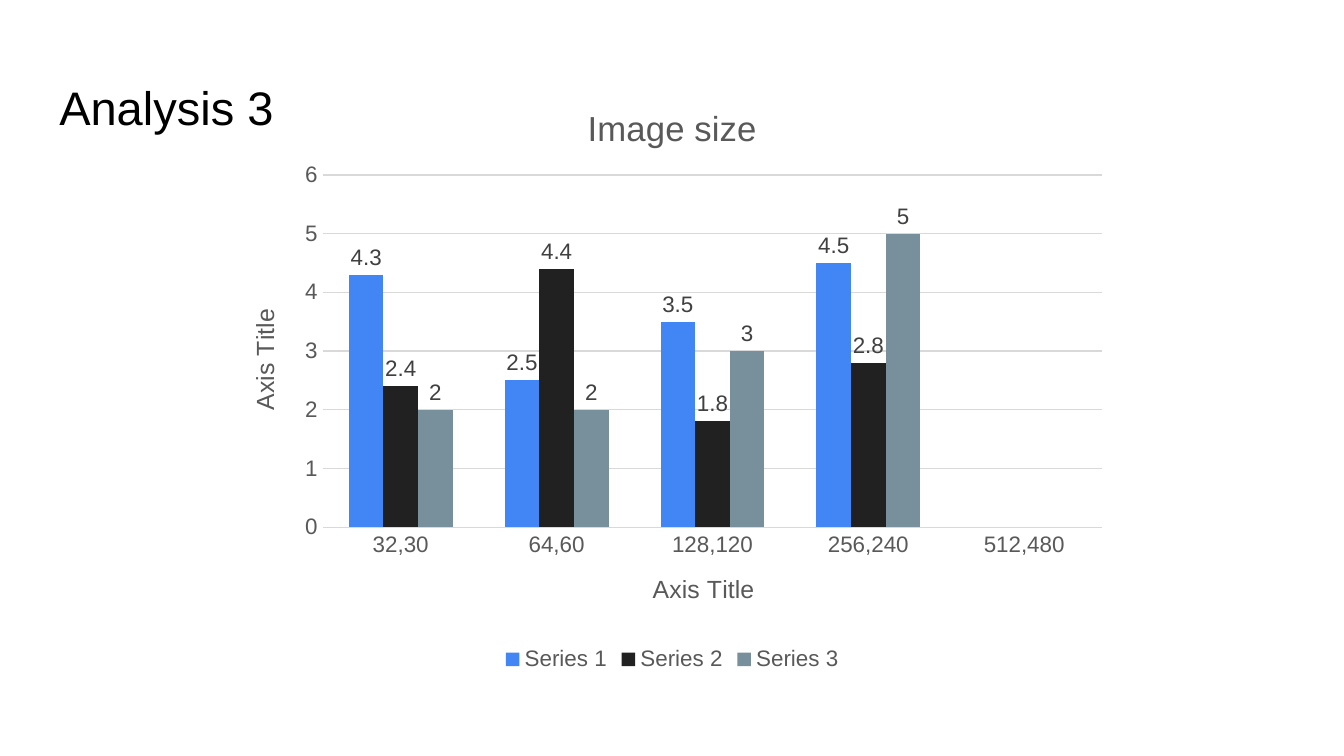
from lxml import etree
from pptx import Presentation
from pptx import util as u
from pptx.chart import data as cd
from pptx.dml.color import RGBColor
from pptx.enum import chart as ch, text as tx
from pptx.oxml import ns

FONT = "Arial"
BLACK = RGBColor(0x00, 0x00, 0x00)
GREY = RGBColor(0x59, 0x59, 0x59)
DARK = RGBColor(0x40, 0x40, 0x40)
PALE = RGBColor(0xD9, 0xD9, 0xD9)
BLUE = RGBColor(0x42, 0x85, 0xF4)
INK = RGBColor(0x21, 0x21, 0x21)
SLATE = RGBColor(0x78, 0x90, 0x9C)

SIZES = ["32,30", "64,60", "128,120", "256,240", "512,480"]
SERIES = [
    ("Series 1", [4.3, 2.5, 3.5, 4.5, None], BLUE),
    ("Series 2", [2.4, 4.4, 1.8, 2.8, None], INK),
    ("Series 3", [2, 2, 3, 5, None], SLATE),
]


def style(font, size, color):
    """Set the face, size and colour of a font in regular weight."""
    font.name, font.size, font.bold = FONT, u.Pt(size), False
    font.color.rgb = color


def label(item, words, size):
    """Give a chart or an axis its title."""
    item.has_title = True
    frame = item.chart_title.text_frame if hasattr(item, "chart_title") else item.axis_title.text_frame
    frame.text = words
    style(frame.paragraphs[0].runs[0].font, size, GREY)


def place(chart, x, y, w, h):
    """Fix the inner plot area as fractions of the chart box."""
    area = chart.element.find(".//" + ns.qn("c:plotArea"))
    for old in area.findall(ns.qn("c:layout")):
        area.remove(old)
    outer = etree.Element(ns.qn("c:layout"))
    area.insert(0, outer)
    inner = etree.SubElement(outer, ns.qn("c:manualLayout"))
    rules = dict(layoutTarget="inner", xMode="edge", yMode="edge", x=x, y=y, w=w, h=h)
    for key, val in rules.items():
        etree.SubElement(inner, ns.qn("c:" + key)).set("val", str(val))


def add_title(slide, box):
    """Place the slide title in its box."""
    title = slide.shapes.title
    title.left, title.top, title.width, title.height = box
    frame = title.text_frame
    frame.text = "Analysis 3"
    frame.word_wrap = True
    frame.auto_size = tx.MSO_AUTO_SIZE.NONE
    frame.vertical_anchor = tx.MSO_ANCHOR.TOP
    frame.margin_left = frame.margin_right = u.Cm(0.25)
    frame.margin_top = frame.margin_bottom = u.Cm(0.25)
    line = frame.paragraphs[0]
    line.alignment = tx.PP_ALIGN.LEFT
    style(line.runs[0].font, 25.2, BLACK)


def add_bars(slide, box):
    """Place the clustered column chart in its box."""
    data = cd.CategoryChartData()
    data.categories = SIZES
    for name, vals, _ in SERIES:
        data.add_series(name, vals)
    chart = slide.shapes.add_chart(ch.XL_CHART_TYPE.COLUMN_CLUSTERED, *box, data).chart
    style(chart.font, 12, GREY)
    label(chart, "Image size", 18.6)
    chart.chart_title.include_in_layout = False

    for axis in (chart.category_axis, chart.value_axis):
        label(axis, "Axis Title", 13.3)
        axis.major_tick_mark = axis.minor_tick_mark = ch.XL_TICK_MARK.NONE
        axis.format.line.fill.background()
        style(axis.tick_labels.font, 12, GREY)
    scale = chart.value_axis
    scale.minimum_scale, scale.maximum_scale, scale.major_unit = 0, 6, 1
    scale.has_major_gridlines = True
    grid = scale.major_gridlines.format.line
    grid.width = u.Pt(0.75)
    grid.color.rgb = PALE

    plot = chart.plots[0]
    plot.gap_width, plot.overlap, plot.vary_by_categories = 150, 0, False
    for bars, (_, _, color) in zip(plot.series, SERIES):
        bars.format.fill.solid()
        bars.format.fill.fore_color.rgb = color
        bars.invert_if_negative = False
        marks = bars.data_labels
        marks.show_value = True
        marks.position = ch.XL_LABEL_POSITION.OUTSIDE_END
        style(marks.font, 12, DARK)

    chart.has_legend = True
    chart.legend.position = ch.XL_LEGEND_POSITION.BOTTOM
    chart.legend.include_in_layout = False
    style(chart.legend.font, 12, GREY)
    place(chart, 0.11, 0.16, 0.87, 0.59)


def main():
    """Build the deck and save it."""
    deck = Presentation()
    deck.slide_width, deck.slide_height = u.Cm(25.4), u.Cm(14.29)
    slide = deck.slides.add_slide(deck.slide_layouts[5])
    add_title(slide, (u.Cm(0.87), u.Cm(1.24), u.Cm(23.67), u.Cm(1.6)))
    add_bars(slide, (u.Cm(4.24), u.Cm(1.5), u.Cm(16.93), u.Cm(11.29)))
    deck.save("out.pptx")


if __name__ == "__main__":
    main()
